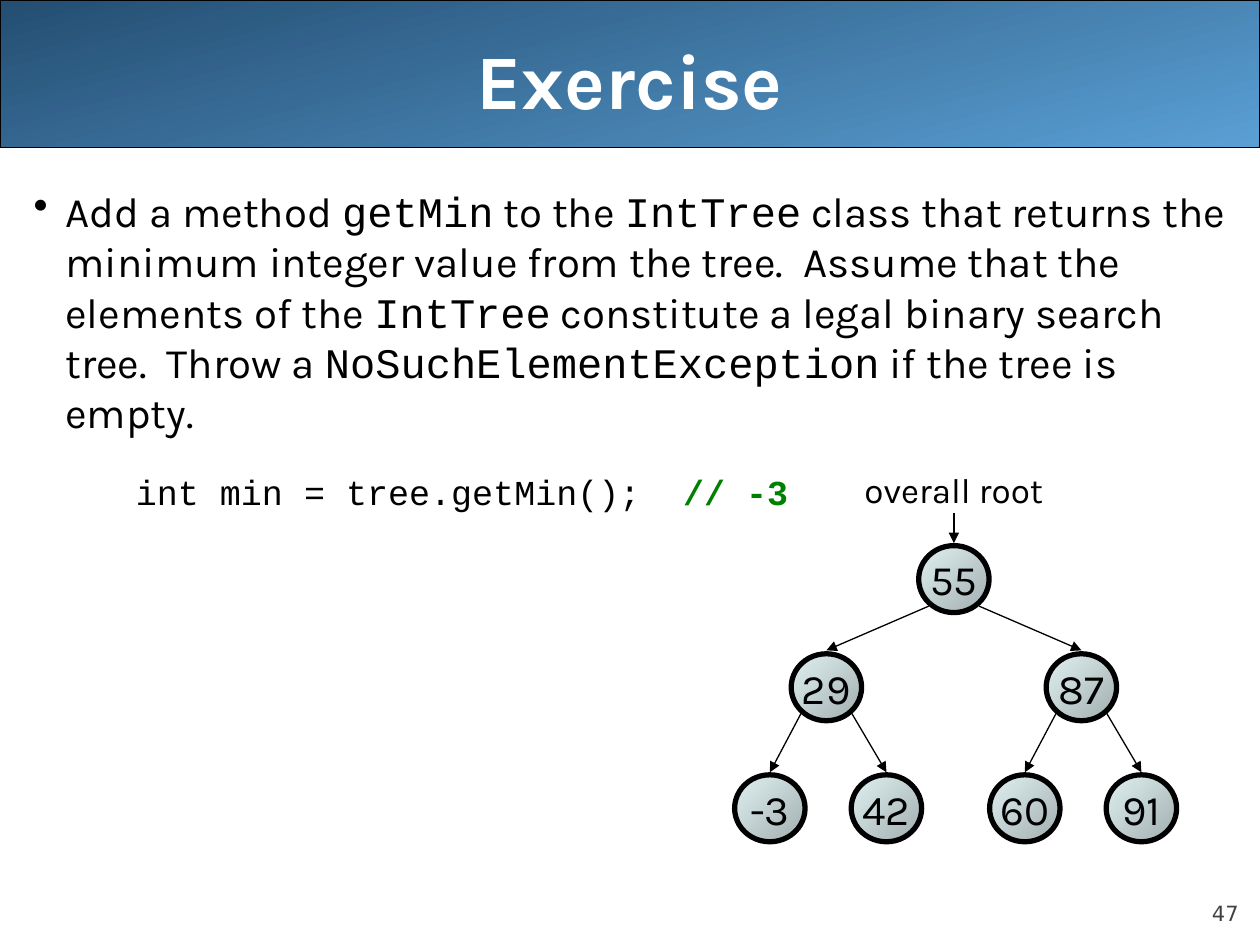
from lxml.etree import SubElement as Sub
from pptx import Presentation
from pptx.dml.color import RGBColor as Rgb
from pptx.enum.shapes import MSO_CONNECTOR as Conn, MSO_SHAPE as Kind
from pptx.enum.text import MSO_ANCHOR as Anchor, PP_ALIGN as Align
from pptx.oxml.ns import qn
from pptx.util import Cm, Pt

INK = {"black": "000000", "white": "FFFFFF", "grey": "424242", "green": "008000",
       "navy": "244E72", "sky": "5A9FD4", "slate": "A1ADAE", "mist": "E1F2F3"}
SANS, MONO = "Karla", "Courier New"

deck = Presentation()
deck.slide_width, deck.slide_height = Cm(25.4), Cm(19.05)
slide = deck.slides.add_slide(deck.slide_layouts[6])
shapes = slide.shapes


def write(para, text, size=24, font=SANS, color="black", bold=False, align=None):
    run = para.add_run()
    run.text = text
    run.font.size = Pt(size)
    run.font.name = font
    run.font.bold = bold
    run.font.color.rgb = Rgb.from_string(INK[color])
    if align is not None:
        para.alignment = align


def shade(shape, start, end, angle, width):
    shape.shadow.inherit = False
    shape.fill.gradient()
    shape.fill.gradient_angle = angle
    for stop, name, spot in zip(shape.fill.gradient_stops, (start, end), (0, 1)):
        stop.color.rgb = Rgb.from_string(INK[name])
        stop.position = spot
    shape.line.color.rgb = Rgb.from_string(INK["black"])
    shape.line.width = Pt(width)


band = shapes.add_shape(Kind.RECTANGLE, 0, 0, Cm(25.4), Cm(2.97))
shade(band, "navy", "sky", 285, 0.75)

page = shapes.add_textbox(Cm(22.86), Cm(17.65), Cm(2.11), Cm(1.02)).text_frame
page.margin_left = page.margin_right = page.margin_top = page.margin_bottom = 0
page.vertical_anchor = Anchor.BOTTOM
page.word_wrap = True
write(page.paragraphs[0], "47", size=12, font="DejaVu Sans", color="grey", align=Align.RIGHT)

title = shapes.add_textbox(Cm(1.27), 0, Cm(22.86), Cm(3.18)).text_frame
title.vertical_anchor = Anchor.MIDDLE
title.word_wrap = True
write(title.paragraphs[0], "Exercise", size=44, color="white", bold=True, align=Align.CENTER)

body = shapes.add_textbox(Cm(0.43), Cm(3.61), Cm(24.97), Cm(14.4)).text_frame
body.word_wrap = True
task, code = body.paragraphs[0], body.add_paragraph()
for para, left, hang in ((task, 0.64, -0.64), (code, 2.54, -0.48)):
    props = para._p.get_or_add_pPr()
    props.set("marL", str(Cm(left)))
    props.set("indent", str(Cm(hang)))
Sub(task._p.pPr, qn("a:buChar")).set("char", "•")
parts = ["Add a method ", "getMin", " to the ", "IntTree",
         " class that returns the minimum integer value from the tree.  "
         "Assume that the elements of the ", "IntTree",
         " constitute a legal binary search tree.  Throw a ",
         "NoSuchElementException", " if the tree is empty."]
for i, part in enumerate(parts):
    write(task, part, font=(SANS, MONO)[i % 2])
code.space_before = Pt(19)
write(code, "int min = tree.getMin();  ", size=20, font=MONO)
write(code, "// -3", size=20, font=MONO, color="green", bold=True)

label = shapes.add_textbox(Cm(17.07), Cm(9.32), Cm(4.32), Cm(1.12)).text_frame
label.word_wrap = False
write(label.paragraphs[0], "overall root", size=20, align=Align.CENTER)

wide, high = 1.42, 1.35
root = 19.23
tops = [11, 13.18, 15.62]
nodes = [("55", root, 0)]
edges = [(root, 10.34, root, 10.95)]
for side, name, kids in ((-1, "29", ("-3", "42")), (1, "87", ("60", "91"))):
    mid = root + side * 2.57
    nodes.append((name, mid, 1))
    edges.append((root + side * 0.51, tops[0] + 1.22, mid, tops[1] - 0.07))
    for way, kid, shift in zip((-1, 1), kids, (-1.14, 1.21)):
        nodes.append((kid, mid + shift, 2))
        edges.append((mid + way * 0.51, tops[1] + 1.2, mid + shift, tops[2] - 0.05))

for name, mid, row in nodes:
    node = shapes.add_shape(Kind.OVAL, Cm(mid - wide / 2), Cm(tops[row]), Cm(wide), Cm(high))
    shade(node, "slate", "mist", 135, 3)
    node.text_frame.word_wrap = False
    node.text_frame.vertical_anchor = Anchor.MIDDLE
    write(node.text_frame.paragraphs[0], name, align=Align.CENTER)

for edge in edges:
    arrow = shapes.add_connector(Conn.STRAIGHT, *map(Cm, edge))
    arrow.line.color.rgb = Rgb.from_string(INK["black"])
    arrow.line.width = Pt(0.75)
    Sub(arrow.line._get_or_add_ln(), qn("a:tailEnd")).set("type", "triangle")
    Sub(arrow._element.spPr, qn("a:effectLst"))

deck.save("out.pptx")
